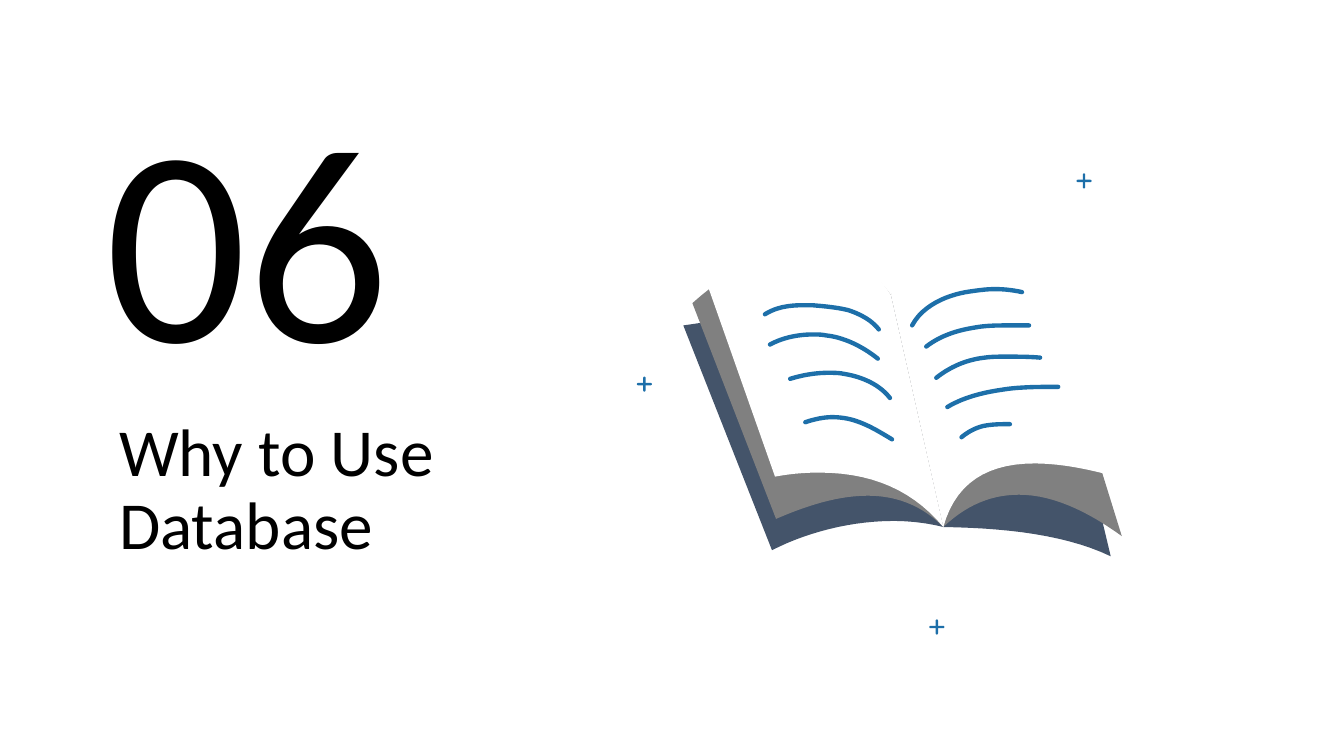
from lxml import etree
from pptx import Presentation
from pptx import util as u
from pptx.dml.color import RGBColor
from pptx.enum import shapes, text
from pptx.oxml.ns import qn

BLACK = RGBColor(0x00, 0x00, 0x00)
WHITE = RGBColor(0xFF, 0xFF, 0xFF)
NAVY = RGBColor(0x44, 0x54, 0x6A)
GRAY = RGBColor(0x80, 0x80, 0x80)
BLUE = RGBColor(0x1D, 0x6F, 0xA9)

FONT = "Calibri"
CURVE_STEPS = 14
BOOK_GRID_WIDTH = 435  # the book is drawn on a grid this many units wide

# Each outline is a start point, then lines (x, y) or curves (two handles, end)
LEAVES = [
    # Cover
    (NAVY, [(206, 57), (0, 87), (88, 310), (121, 293, 165, 281, 208, 281),
            (225, 281, 242, 283, 258, 287), (322, 288, 380, 295, 424, 316),
            (367, 77)]),
    # Lower pages, left and right
    (GRAY, [(122, 13), (89, 13, 50, 28, 9, 65), (92, 279),
            (122, 266, 153, 256, 183, 256), (209, 256, 235, 264, 258, 287),
            (206, 57), (188, 31, 158, 13, 122, 13)]),
    (GRAY, [(280, 11), (251, 11, 226, 25, 206, 57), (258, 287),
            (281, 265, 306, 255, 333, 255), (365, 255, 399, 270, 435, 296),
            (354, 35), (328, 20, 303, 11, 280, 11)]),
    # Open pages, left and right
    (WHITE, [(113, 4), (85, 4, 53, 13, 18, 30), (91, 237),
             (107, 234, 121, 233, 135, 233), (188, 233, 228, 251, 258, 287),
             (206, 57), (183, 21, 151, 4, 113, 4)]),
    (WHITE, [(284, 0), (244, 0, 218, 19, 206, 57), (258, 287),
             (270, 243, 302, 224, 348, 224), (373, 224, 402, 229, 435, 239),
             (346, 11), (323, 4, 302, 0, 284, 0)]),
]
WRITING = [
    # Right page
    [(227, 87), (240, 63, 270, 55, 287, 53), (294, 52, 302, 51, 309, 51),
     (318, 51, 327, 52, 336, 54)],
    [(241, 108), (254, 98, 270, 92, 290, 89), (301, 87, 313, 87, 324, 87),
     (343, 87)],
    [(251, 139), (265, 128, 281, 121, 299, 119),
     (306, 118, 313, 118, 320, 118), (331, 118, 343, 118, 354, 119)],
    [(262, 168), (277, 159, 295, 154, 315, 151),
     (333, 148, 351, 148, 372, 148)],
    [(276, 198), (282, 193, 289, 189, 297, 187),
     (306, 185, 315, 185, 324, 185)],
    # Left page
    [(81, 76), (92, 69, 105, 67, 119, 67), (128, 67),
     (139, 68, 152, 69, 164, 72), (176, 76, 187, 82, 194, 91)],
    [(86, 106), (99, 99, 114, 96, 129, 96), (133, 96, 137, 96, 142, 97),
     (160, 99, 178, 108, 193, 120)],
    [(106, 140), (119, 136, 132, 134, 144, 134),
     (149, 134, 154, 134, 159, 135), (178, 138, 195, 146, 205, 159)],
    [(121, 183), (130, 180, 139, 178, 148, 178),
     (155, 178, 162, 179, 169, 181), (182, 185, 194, 192, 207, 200)],
]


def flatten(outline):
    """Turn lines and cubic curves into a list of points."""
    points = [outline[0]]
    for segment in outline[1:]:
        if len(segment) == 2:
            points.append(segment)
            continue
        x0, y0 = points[-1]
        x1, y1, x2, y2, x3, y3 = segment
        for step in range(1, CURVE_STEPS + 1):
            t = step / CURVE_STEPS
            a, b, c, d = (1 - t)**3, 3 * t * (1 - t)**2, 3 * t**2 * (1 - t), t**3
            points.append((a * x0 + b * x1 + c * x2 + d * x3,
                           a * y0 + b * y1 + c * y2 + d * y3))
    return points


def draw_outline(slide, outline, left, top, unit, closed):
    points = [(round(x * unit), round(y * unit)) for x, y in flatten(outline)]
    builder = slide.shapes.build_freeform(*points[0])
    builder.add_line_segments(points[1:], close=closed)
    drawn = builder.convert_to_shape(left, top)
    drawn.shadow.inherit = False
    return drawn


def draw_book(slide, left, top, width):
    unit = width / BOOK_GRID_WIDTH
    for color, outline in LEAVES:
        leaf = draw_outline(slide, outline, left, top, unit, closed=True)
        leaf.fill.solid()
        leaf.fill.fore_color.rgb = color
        leaf.line.fill.background()
    for outline in WRITING:
        stroke = draw_outline(slide, outline, left, top, unit, closed=False)
        stroke.fill.background()
        stroke.line.color.rgb = BLUE
        stroke.line.width = u.Cm(0.11)
        line_xml = stroke.line._get_or_add_ln()
        line_xml.set("cap", "rnd")
        etree.SubElement(line_xml, qn("a:round"))


def draw_plus(slide, center_x, center_y):
    long, thin = u.Cm(0.38), u.Cm(0.06)
    for width, height in ((long, thin), (thin, long)):
        bar = slide.shapes.add_shape(
            shapes.MSO_SHAPE.ROUNDED_RECTANGLE,
            center_x - width // 2, center_y - height // 2, width, height)
        bar.adjustments[0] = 0.5
        bar.shadow.inherit = False
        bar.fill.solid()
        bar.fill.fore_color.rgb = BLUE
        bar.line.fill.background()


def write_heading(holder, box, words, size, anchor):
    holder.left, holder.top, holder.width, holder.height = box
    frame = holder.text_frame
    frame.word_wrap = True
    frame.auto_size = text.MSO_AUTO_SIZE.NONE
    frame.vertical_anchor = anchor
    frame.margin_left = frame.margin_right = u.Cm(0.33)
    frame.margin_top = frame.margin_bottom = u.Cm(0.33)
    paragraph = frame.paragraphs[0]
    paragraph.alignment = text.PP_ALIGN.LEFT
    paragraph.line_spacing = 0.9
    run = paragraph.add_run()
    run.text = words
    run.font.name = FONT
    run.font.size = u.Pt(size)
    run.font.color.rgb = BLACK


def build_section_slide(deck):
    slide = deck.slides.add_slide(deck.slide_layouts[5])

    # Section title and number
    write_heading(slide.shapes.title,
                  (u.Cm(2.67), u.Cm(10.16), u.Cm(12.04), u.Cm(4.45)),
                  "Why to Use Database", 48, text.MSO_ANCHOR.MIDDLE)
    number_box = (u.Cm(2.34), u.Cm(2.01), u.Cm(9.93), u.Cm(8.48))
    write_heading(slide.shapes.add_textbox(*number_box), number_box,
                  "06", 200, text.MSO_ANCHOR.BOTTOM)

    # Open book with plus signs around it
    draw_book(slide, u.Cm(17.22), u.Cm(5.99), u.Cm(11.05))
    for x, y in ((16.24, 9.68), (27.32, 4.56), (23.61, 15.8)):
        draw_plus(slide, u.Cm(x), u.Cm(y))


def main():
    deck = Presentation()
    deck.slide_width, deck.slide_height = u.Cm(33.87), u.Cm(19.05)
    build_section_slide(deck)
    deck.save("out.pptx")


if __name__ == "__main__":
    main()
